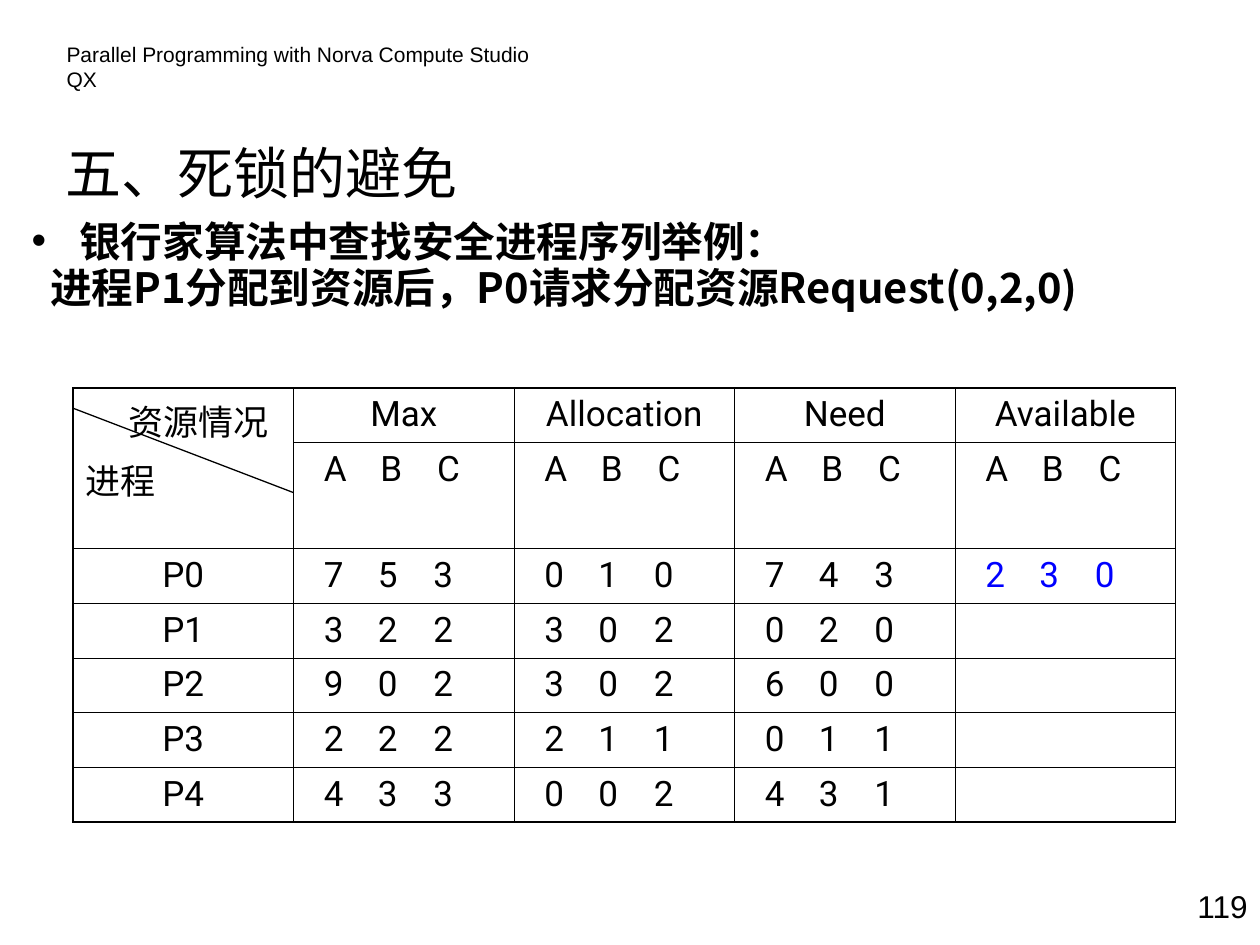
from pptx import Presentation
from pptx import util as u
from pptx.dml.color import RGBColor
from pptx.enum import shapes, text
from pptx.oxml.ns import qn
from lxml import etree

BLACK, BLUE = "000000", "0000FF"
CJK = "Noto Sans CJK SC"
COL_W, ROW_H, ABC_ROW_H = 1.75, 0.43, 0.84
TABLE_LEFT, TABLE_TOP = 0.58, 3.08
LETTER_STOPS, DIGIT_STOPS = (0.45, 0.9), (0.43, 0.87)

GROUPS = ["Max", "Allocation", "Need", "Available"]
PROCESSES = {
    "P0": ["753", "010", "743", "230"],
    "P1": ["322", "302", "020"],
    "P2": ["902", "302", "600"],
    "P3": ["222", "211", "011"],
    "P4": ["433", "002", "431"],
}


def rgb(hex_colour):
    return RGBColor.from_string(hex_colour)


def sub(parent, tag, **attrs):
    return etree.SubElement(parent, qn(tag), attrs)


def add_run(para, words, size, font, colour=BLACK, bold=False):
    run = para.add_run()
    run.text = words
    run.font.size = u.Pt(size)
    run.font.name = font
    run.font.bold = bold
    run.font.color.rgb = rgb(colour)
    sub(run._r.get_or_add_rPr(), "a:ea", typeface=CJK)


def set_indent(para, left, first=0):
    props = para._p.get_or_add_pPr()
    props.set("marL", str(u.Inches(left)))
    props.set("indent", str(u.Inches(first)))
    return props


def add_box(slide, left, top, width, height, side=0.1):
    box = slide.shapes.add_textbox(*map(u.Inches, (left, top, width, height)))
    frame = box.text_frame
    frame.word_wrap = True
    frame.margin_left = frame.margin_right = u.Inches(side)
    return frame


def add_title(slide):
    title = slide.shapes.title
    title.left, title.top = u.Inches(0.42), u.Inches(0.99)
    title.width, title.height = u.Inches(9), u.Inches(0.75)
    frame = title.text_frame
    frame.auto_size = text.MSO_AUTO_SIZE.NONE
    frame.vertical_anchor = text.MSO_ANCHOR.MIDDLE
    frame.paragraphs[0].alignment = text.PP_ALIGN.LEFT
    add_run(frame.paragraphs[0], "五、死锁的避免", 32, CJK)


def add_example(slide):
    frame = add_box(slide, 0.25, 1.74, 9.75, 0.92, side=0)
    heading, request = frame.paragraphs[0], frame.add_paragraph()
    props = set_indent(heading, 0.38, -0.38)
    sub(props, "a:buFont", typeface="Arial")
    sub(props, "a:buChar", char="•")
    set_indent(request, 0.15)
    request.space_before = u.Pt(3.3)
    for para, words in (
        (heading, "银行家算法中查找安全进程序列举例："),
        (request, "进程P1分配到资源后，P0请求分配资源Request(0,2,0)"),
    ):
        para.line_spacing = 0.8
        add_run(para, words, 23.8, CJK, bold=True)


def style_cell(cell, outer_sides):
    props = cell._tc.get_or_add_tcPr()
    for side in "LRTB":
        width = 1.08 if side in outer_sides else 0.45
        line = sub(props, f"a:ln{side}", w=str(u.Pt(width)))
        sub(sub(line, "a:solidFill"), "a:srgbClr", val=BLACK)
    cell.fill.background()


def fill_label(cell, words):
    para = cell.text_frame.paragraphs[0]
    para.alignment = text.PP_ALIGN.CENTER
    add_run(para, words, 20, "Roboto")


def fill_triple(cell, values, stops, colour=BLACK):
    cell.margin_left = u.Inches(0.24)
    para = cell.text_frame.paragraphs[0]
    tabs = sub(para._p.get_or_add_pPr(), "a:tabLst")
    for stop in stops:
        sub(tabs, "a:tab", pos=str(u.Inches(stop)), algn="l")
    # One run per value, each after the first led by a tab
    for i, value in enumerate(values):
        add_run(para, "\t" * (i > 0) + value, 20, "Roboto", colour)


def fill_corner(cell):
    frame = cell.text_frame
    resources, processes = frame.paragraphs[0], frame.add_paragraph()
    set_indent(resources, 0.34)
    processes.space_before = u.Pt(5)
    add_run(resources, "资源情况", 20, "Roboto")
    add_run(processes, "进程", 20, "Roboto")


def add_resource_table(slide):
    heights = [ROW_H, ABC_ROW_H] + [ROW_H] * len(PROCESSES)
    n_rows, n_cols = len(heights), len(GROUPS) + 1
    frame = slide.shapes.add_table(
        n_rows, n_cols, u.Inches(TABLE_LEFT), u.Inches(TABLE_TOP),
        u.Inches(COL_W * n_cols), u.Inches(sum(heights)))
    table = frame.table
    table.first_row = table.horz_banding = False
    for column in table.columns:
        column.width = u.Inches(COL_W)
    for row, height in zip(table.rows, heights):
        row.height = u.Inches(height)

    for r in range(n_rows):
        for c in range(n_cols):
            outer = ("T" * (r == 0) + "B" * (r == n_rows - 1)
                     + "L" * (c == 0) + "R" * (c == n_cols - 1))
            style_cell(table.cell(r, c), outer)

    # Two header rows
    table.cell(0, 0).merge(table.cell(1, 0))
    fill_corner(table.cell(0, 0))
    for c, group in enumerate(GROUPS, 1):
        fill_label(table.cell(0, c), group)
        fill_triple(table.cell(1, c), "ABC", LETTER_STOPS)

    # One row per process
    for r, (process, triples) in enumerate(PROCESSES.items(), 2):
        fill_label(table.cell(r, 0), process)
        for c, triple in enumerate(triples, 1):
            colour = BLUE if GROUPS[c - 1] == "Available" else BLACK
            fill_triple(table.cell(r, c), triple, DIGIT_STOPS, colour)


def add_corner_diagonal(slide):
    diagonal = slide.shapes.add_connector(
        shapes.MSO_CONNECTOR.STRAIGHT, u.Inches(TABLE_LEFT), u.Inches(3.24),
        u.Inches(TABLE_LEFT + COL_W), u.Inches(3.91))
    diagonal.line.color.rgb = rgb(BLACK)
    diagonal.line.width = u.Pt(0.75)
    sub(diagonal._element.spPr, "a:effectLst")


def main():
    prs = Presentation()
    prs.slide_width, prs.slide_height = u.Inches(10), u.Inches(7.5)
    slide = prs.slides.add_slide(prs.slide_layouts[5])

    # Running header
    header = add_box(slide, 0.43, 0.28, 4.1, 0.3).paragraphs[0]
    add_run(header, "Parallel Programming with Norva Compute Studio QX", 12, "Arial")

    add_title(slide)
    add_example(slide)

    # Page number
    page = add_box(slide, 9.08, 6.99, 0.92, 0.4).paragraphs[0]
    page.alignment = text.PP_ALIGN.RIGHT
    add_run(page, "119", 18, "Arial")

    add_resource_table(slide)
    add_corner_diagonal(slide)
    prs.save("out.pptx")


if __name__ == "__main__":
    main()
